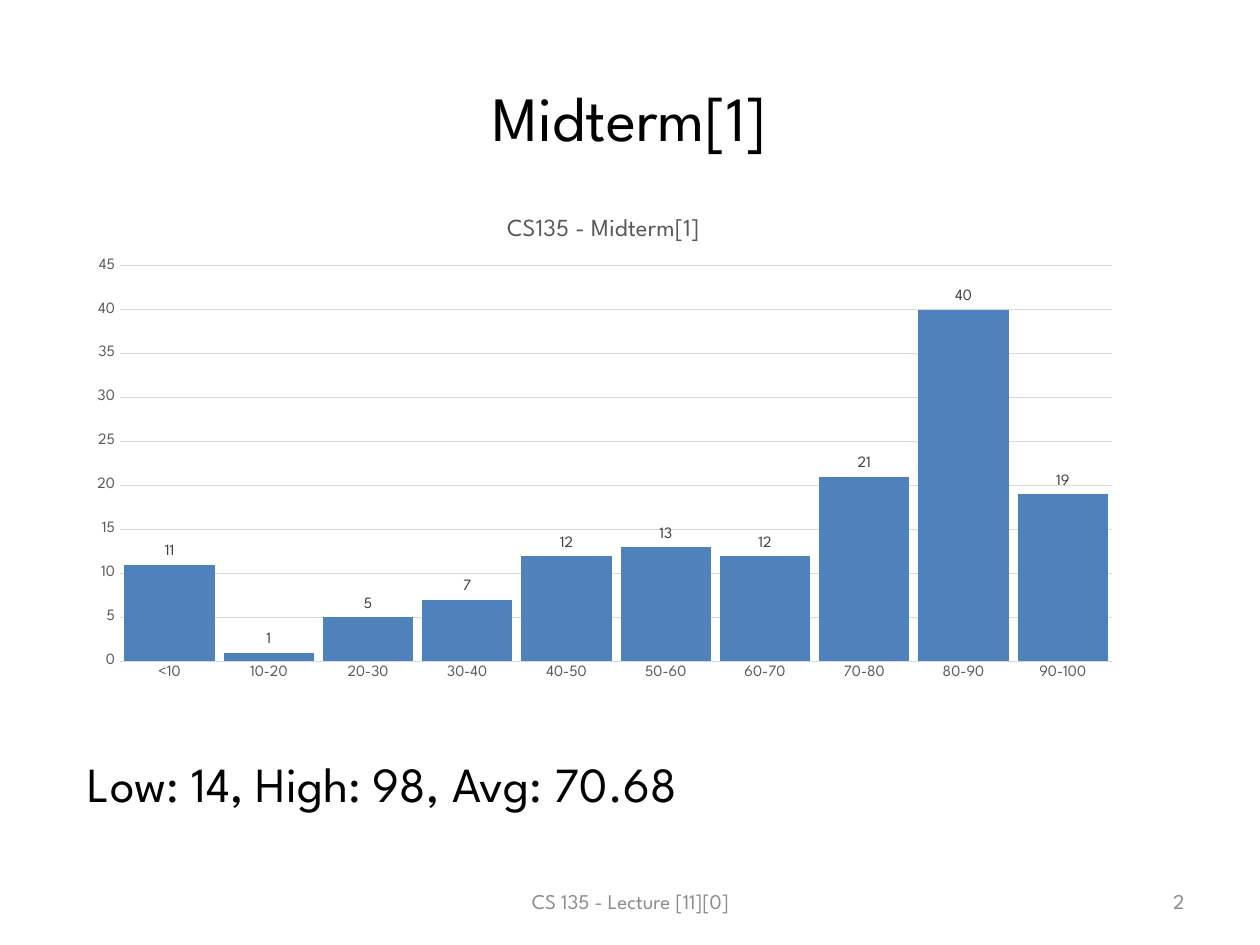
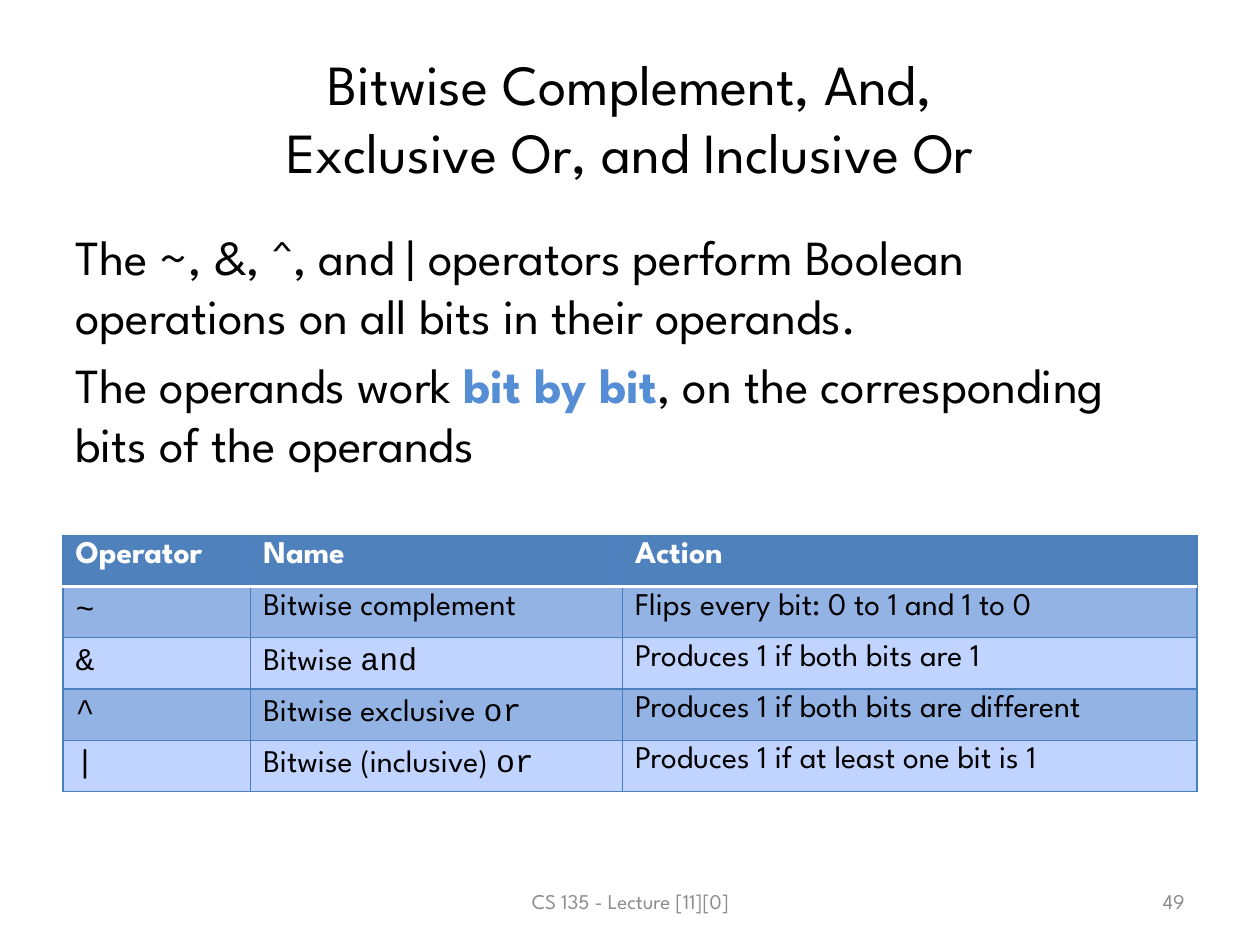
import pptx
import pptx.util
import pptx.chart.data
import pptx.enum.chart
import pptx.enum.text
import pptx.dml.color
import pptx.oxml
import pptx.oxml.ns
from lxml import etree

Inches, Pt = pptx.util.Inches, pptx.util.Pt
ALIGN = pptx.enum.text.PP_ALIGN
ANCHOR = pptx.enum.text.MSO_ANCHOR

SANS, MONO = "League Spartan", "Courier New"
COLORS = {
    "text": "000000", "footer": "8C8C8C", "accent": "558ED5", "white": "FFFFFF",
    "blue": "4F81BD", "border": "4B7EBC", "dark_band": "93B3E5", "light_band": "C0D4FF",
    "axis": "595959", "grid": "D9D9D9", "label": "404040",
}
TITLE_BOX = (0.5, 0.3, 9, 1.25)
FOOTER_BOX = (3.42, 6.95, 3.17, 0.4)
NUMBER_BOX = (7.17, 6.95, 2.33, 0.4)
FOOTER = "CS 135 - Lecture [11][0]"


def color(name):
    return pptx.dml.color.RGBColor.from_string(COLORS[name])


def lengths(box):
    return [Inches(value) for value in box]


def style_font(font, size, tone="text", bold=False, name=SANS):
    font.name, font.size, font.bold = name, Pt(size), bold
    font.color.rgb = color(tone)


def add_span(para, text, size, tone="text", bold=False, name=SANS):
    span = para.add_run()
    span.text = text
    style_font(span.font, size, tone, bold, name)


def add_text(page, box, paras, size, tone="text", align=ALIGN.LEFT,
             anchor=ANCHOR.TOP, before=0):
    """Each paragraph is a list of (text, tone, bold) runs or plain strings."""
    frame = page.shapes.add_textbox(*lengths(box)).text_frame
    frame.word_wrap = True
    frame.vertical_anchor = anchor
    for index, spans in enumerate(paras):
        para = frame.paragraphs[0] if index == 0 else frame.add_paragraph()
        para.alignment = align
        para.space_before = Pt(before)
        for item in spans:
            text, span_tone, bold = (item, tone, False) if isinstance(item, str) else item
            add_span(para, text, size, span_tone, bold)


def add_body(page, box, paras):
    add_text(page, box, paras, 28, before=5.6)


def add_page(deck, title_lines, title_size, number):
    page = deck.slides.add_slide(deck.slide_layouts[5])
    # Title
    title = page.shapes.title
    title.left, title.top, title.width, title.height = lengths(TITLE_BOX)
    frame = title.text_frame
    frame.word_wrap = True
    frame.auto_size = pptx.enum.text.MSO_AUTO_SIZE.NONE
    frame.vertical_anchor = ANCHOR.MIDDLE
    para = frame.paragraphs[0]
    para.alignment = ALIGN.CENTER
    for index, line in enumerate(title_lines):
        if index:
            para.add_line_break()
        add_span(para, line, title_size)
    # Footer and page number
    for box, text, align in ((FOOTER_BOX, FOOTER, ALIGN.CENTER),
                             (NUMBER_BOX, str(number), ALIGN.RIGHT)):
        add_text(page, box, [[text]], 12, "footer", align, ANCHOR.MIDDLE)
    return page


def set_plot_layout(chart, **fractions):
    plot_area = chart._chartSpace.chart.plotArea
    for old in plot_area.findall(pptx.oxml.ns.qn("c:layout")):
        plot_area.remove(old)
    layout = etree.Element(pptx.oxml.ns.qn("c:layout"))
    manual = etree.SubElement(layout, pptx.oxml.ns.qn("c:manualLayout"))
    settings = {"layoutTarget": "inner", "xMode": "edge", "yMode": "edge", **fractions}
    for tag, value in settings.items():
        etree.SubElement(manual, pptx.oxml.ns.qn("c:" + tag)).set("val", str(value))
    plot_area.insert(0, layout)


def add_histogram(page, box, title, ranges, counts):
    data = pptx.chart.data.CategoryChartData()
    data.categories = ranges
    data.add_series("Series 1", counts)
    kinds = pptx.enum.chart
    chart = page.shapes.add_chart(
        kinds.XL_CHART_TYPE.COLUMN_CLUSTERED, *lengths(box), data).chart
    style_font(chart.font, 10)
    chart.has_legend = False
    chart.has_title = True
    add_span(chart.chart_title.text_frame.paragraphs[0], title, 14, "axis")
    chart.chart_title.include_in_layout = False
    set_plot_layout(chart, x=0.042, y=0.142, w=0.94, h=0.797)

    # Axes
    for axis in (chart.category_axis, chart.value_axis):
        axis.major_tick_mark = axis.minor_tick_mark = kinds.XL_TICK_MARK.NONE
        style_font(axis.tick_labels.font, 9, "axis")
    values = chart.value_axis
    values.minimum_scale, values.maximum_scale, values.major_unit = 0, 45, 5
    values.format.line.fill.background()
    values.has_major_gridlines = True
    for line in (chart.category_axis.format.line, values.major_gridlines.format.line):
        line.color.rgb = color("grid")
        line.width = Pt(0.75)

    # Columns and their labels
    plot = chart.plots[0]
    plot.gap_width, plot.overlap, plot.vary_by_categories = 10, -27, False
    fill = plot.series[0].format.fill
    fill.solid()
    fill.fore_color.rgb = color("blue")
    plot.has_data_labels = True
    labels = plot.data_labels
    labels.show_value = True
    labels.position = kinds.XL_LABEL_POSITION.OUTSIDE_END
    style_font(labels.font, 9, "label")


def set_borders(cell, **special):
    """Sides are L, R, T and B; special gives (tone, points) for a side."""
    properties = cell._tc.get_or_add_tcPr()
    for side in "LRTB":
        tone, points = special.get(side, ("border", 0.75))
        line = etree.SubElement(properties, pptx.oxml.ns.qn("a:ln" + side))
        line.set("w", str(int(Pt(points))))
        fill = etree.SubElement(line, pptx.oxml.ns.qn("a:solidFill"))
        etree.SubElement(fill, pptx.oxml.ns.qn("a:srgbClr")).set("val", COLORS[tone])


def add_operator_table(page, box, widths, rows):
    """Each cell is a list of (text, font name) runs."""
    table = page.shapes.add_table(len(rows), len(widths), *lengths(box)).table
    for column, width in zip(table.columns, widths):
        column.width = Inches(width)
    rule = ("white", 2)
    for r, row in enumerate(rows):
        table.rows[r].height = Inches(box[3] / len(rows))
        header = r == 0
        band = "blue" if header else "dark_band" if r % 2 else "light_band"
        edges = {"B": rule} if header else {"T": rule} if r == 1 else {}
        for c, spans in enumerate(row):
            cell = table.cell(r, c)
            set_borders(cell, **edges)
            cell.fill.solid()
            cell.fill.fore_color.rgb = color(band)
            for text, name in spans:
                add_span(cell.text_frame.paragraphs[0], text, 18,
                         "white" if header else "text", header, name)


def midterm_slide(deck):
    page = add_page(deck, ["Midterm[1]"], 36, 2)
    ranges = ["<10"] + [f"{low}-{low + 10}" for low in range(10, 100, 10)]
    add_histogram(page, (0.6, 1.55, 8.38, 3.94), "CS135 - Midterm[1]",
                  ranges, (11, 1, 5, 7, 12, 13, 12, 21, 40, 19))
    add_body(page, (0.6, 5.93, 8.9, 0.77), [["Low: 14, High: 98, Avg: 70.68"]])


def bitwise_slide(deck):
    page = add_page(
        deck, ["Bitwise Complement, And,", "Exclusive Or, and Inclusive Or"], 32.4, 49)
    add_body(page, (0.5, 1.75, 9, 4.95), [
        ["The ~, &, ^, and | operators perform Boolean operations on all bits "
         "in their operands."],
        ["The operands work ", ("bit by bit", "accent", True),
         ", on the corresponding bits of the operands"],
    ])
    operators = [
        ("~", "Bitwise complement", "", "Flips every bit: 0 to 1 and 1 to 0"),
        ("&", "Bitwise ", "and", "Produces 1 if both bits are 1"),
        ("^", "Bitwise exclusive ", "or", "Produces 1 if both bits are different"),
        ("|", "Bitwise (inclusive) ", "or", "Produces 1 if at least one bit is 1"),
    ]
    rows = [[[(head, SANS)] for head in ("Operator", "Name", "Action")]]
    for symbol, label, keyword, action in operators:
        name = [(label, SANS)] + ([(keyword, MONO)] if keyword else [])
        rows.append([[(symbol, MONO)], name, [(action, SANS)]])
    add_operator_table(page, (0.5, 4.25, 9, 2.03), (1.49, 2.95, 4.56), rows)


deck = pptx.Presentation()
deck.slide_width, deck.slide_height = Inches(10), Inches(7.5)
midterm_slide(deck)
bitwise_slide(deck)
deck.save("out.pptx")
